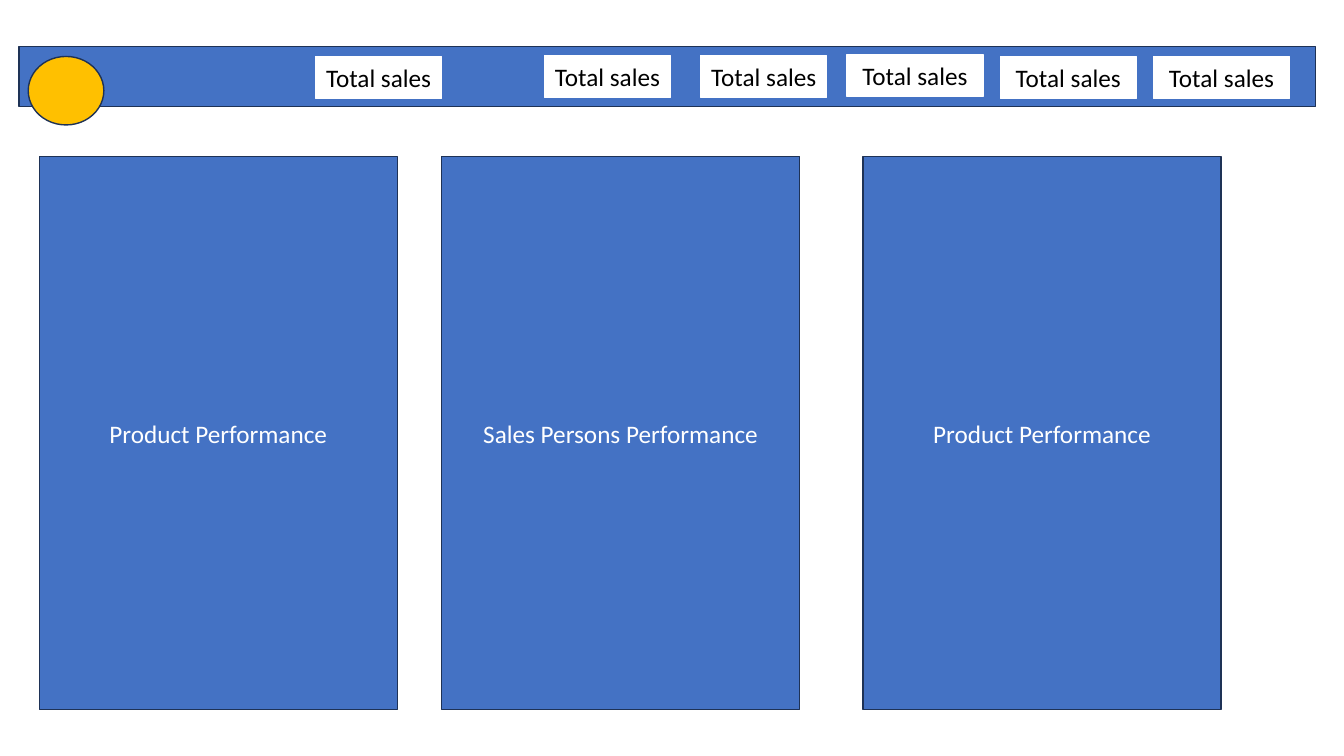
from pptx import Presentation
from pptx.dml.color import RGBColor
from pptx.enum import shapes as sh, text as tx
from pptx.util import Inches, Pt

BLUE, NAVY, GOLD = "4472C4", "1E3256", "FFC000"
WHITE, BLACK = "FFFFFF", "000000"
RECT, OVAL = sh.MSO_SHAPE.RECTANGLE, sh.MSO_SHAPE.OVAL


def paint(color, code):
    color.rgb = RGBColor.from_string(code)


def add_form(slide, kind, box, fill, line):
    form = slide.shapes.add_shape(kind, *[Inches(n) for n in box])
    form.shadow.inherit = False
    form.fill.solid()
    paint(form.fill.fore_color, fill)
    paint(form.line.color, line)
    form.line.width = Pt(1)
    return form


def add_label(form, words, color):
    frame = form.text_frame
    frame.word_wrap = True
    frame.vertical_anchor = tx.MSO_ANCHOR.MIDDLE
    para = frame.paragraphs[0]
    para.alignment = tx.PP_ALIGN.CENTER
    run = para.add_run()
    run.text = words
    run.font.name = "Calibri"
    run.font.size = Pt(18)
    paint(run.font.color, color)


def add_card(slide, left, top, width):
    card = add_form(slide, RECT, (left, top, width, 0.42), WHITE, WHITE)
    add_label(card, "Total sales", BLACK)


def add_panel(slide, left, words):
    panel = add_form(slide, RECT, (left, 1.55, 3.55, 5.49), BLUE, NAVY)
    add_label(panel, words, WHITE)


def main():
    deck = Presentation()
    deck.slide_width, deck.slide_height = Inches(13.33), Inches(7.5)
    slide = deck.slides.add_slide(deck.slide_layouts[6])

    # Header bar with its sales cards
    add_form(slide, RECT, (0.19, 0.46, 12.86, 0.6), BLUE, NAVY)
    cards = [(3.13, 0.56, 1.25), (5.4, 0.55, 1.25), (6.95, 0.55, 1.25),
             (8.4, 0.54, 1.35), (9.92, 0.56, 1.35), (11.44, 0.56, 1.35)]
    for card in cards:
        add_card(slide, *card)

    # Round badge over the bar
    add_form(slide, OVAL, (0.28, 0.56, 0.75, 0.68), GOLD, NAVY)

    # Performance panels
    panels = [(0.39, "Product Performance"),
              (4.38, "Sales Persons Performance"),
              (8.56, "Product Performance")]
    for left, words in panels:
        add_panel(slide, left, words)

    deck.save("out.pptx")


if __name__ == "__main__":
    main()
